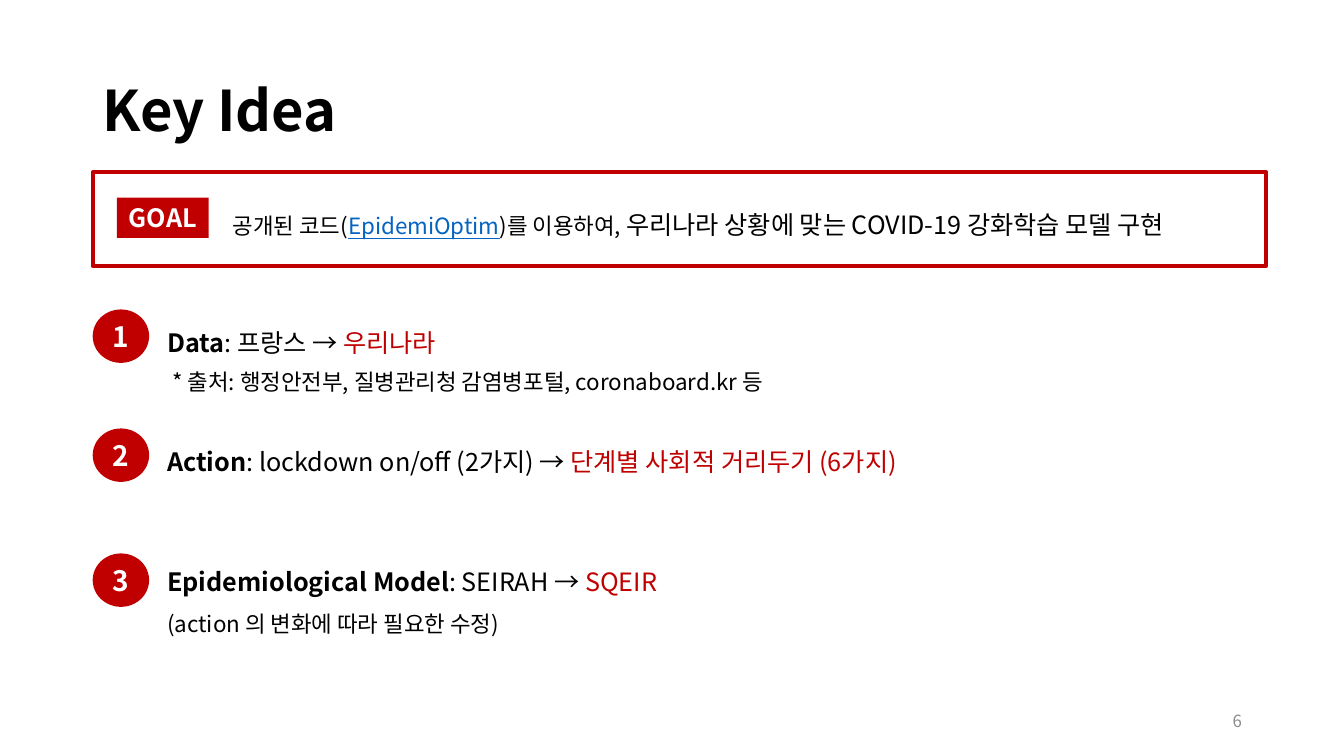
from dataclasses import dataclass

from lxml.etree import SubElement
from pptx import Presentation
from pptx.dml.color import RGBColor
from pptx.enum.shapes import MSO_SHAPE
from pptx.enum.text import MSO_ANCHOR, MSO_AUTO_SIZE, PP_ALIGN
from pptx.oxml.ns import qn
from pptx.shapes.autoshape import Shape
from pptx.slide import Slide
from pptx.text.text import Font
from pptx.util import Inches, Pt

TYPEFACE = "Noto Sans CJK KR"
COLORS = {
    "ink": "000000",
    "accent": "C00000",
    "paper": "FFFFFF",
    "reference": "0563C1",
    "muted": "8C8C8C",
}
SLIDE_WIDTH, SLIDE_HEIGHT = Inches(13.33), Inches(7.5)
MARGIN = 6.9
BADGE_WIDTH, BADGE_HEIGHT = 4.2, 7.07
IDEA_LEFT, BODY_WIDTH = 11.7, 76.58


@dataclass(frozen=True)
class Area:
    """Percentages of the slide's width and height."""
    left: float
    top: float
    width: float
    height: float

    def lengths(self) -> tuple[int, int, int, int]:
        return (
            int(SLIDE_WIDTH * self.left / 100),
            int(SLIDE_HEIGHT * self.top / 100),
            int(SLIDE_WIDTH * self.width / 100),
            int(SLIDE_HEIGHT * self.height / 100),
        )


@dataclass(frozen=True)
class Span:
    text: str
    color: str | None = None
    bold: bool | None = None
    underline: bool | None = None
    size: float | None = None


@dataclass(frozen=True)
class Line:
    spans: tuple[Span, ...]
    size: float
    color: str = "ink"
    bold: bool = False
    spacing: float = 1.0
    align: PP_ALIGN = PP_ALIGN.LEFT


@dataclass(frozen=True)
class Idea:
    badge_top: float
    text_top: float
    text_height: float
    topic: str
    before: str
    after: str
    remark: str = ""

    def lines(self) -> list[Line]:
        spans = (
            Span(self.topic, bold=True),
            Span(self.before),
            Span(self.after, color="accent"),
        )
        lines = [Line(spans, 18, spacing=1.5)]
        if self.remark:
            lines.append(Line((Span(self.remark),), 16, spacing=1.5))
        return lines


IDEAS = (
    Idea(40.93, 40.93, 6.67, "Data", ": 프랑스 → ", "우리나라"),
    Idea(56.67, 56.27, 7.47, "Action", ": lockdown on/off (2가지) → ",
         "단계별 사회적 거리두기 (6가지)"),
    Idea(73.2, 72.53, 12.13, "Epidemiological Model", ": SEIRAH → ", "SQEIR",
         "(action 의 변화에 따라 필요한 수정)"),
)


def rgb(color: str) -> RGBColor:
    return RGBColor.from_string(COLORS[color])


def style_span(font: Font, span: Span) -> None:
    if span.color:
        font.color.rgb = rgb(span.color)
    if span.size:
        font.size = Pt(span.size)
    font.bold = span.bold
    font.underline = span.underline


def write(holder: Shape, lines: list[Line], anchor: MSO_ANCHOR, grow: bool = False) -> None:
    frame = holder.text_frame
    frame.word_wrap = True
    frame.vertical_anchor = anchor
    frame.auto_size = MSO_AUTO_SIZE.SHAPE_TO_FIT_TEXT if grow else MSO_AUTO_SIZE.NONE
    for index, line in enumerate(lines):
        paragraph = frame.add_paragraph() if index else frame.paragraphs[0]
        paragraph.alignment = line.align
        paragraph.line_spacing = line.spacing
        font = paragraph.font
        font.size = Pt(line.size)
        font.bold = line.bold
        font.color.rgb = rgb(line.color)
        font.name = TYPEFACE
        defaults = paragraph._p.pPr.find(qn("a:defRPr"))
        SubElement(defaults, qn("a:ea")).set("typeface", TYPEFACE)
        for span in line.spans:
            run = paragraph.add_run()
            run.text = span.text
            style_span(run.font, span)


def add_text(slide: Slide, area: Area, lines: list[Line],
             anchor: MSO_ANCHOR = MSO_ANCHOR.MIDDLE, grow: bool = True) -> None:
    write(slide.shapes.add_textbox(*area.lengths()), lines, anchor, grow)


def add_label(slide: Slide, preset: MSO_SHAPE, area: Area, text: str, size: float,
              anchor: MSO_ANCHOR = MSO_ANCHOR.MIDDLE) -> None:
    label = slide.shapes.add_shape(preset, *area.lengths())
    label.shadow.inherit = False
    label.fill.solid()
    label.fill.fore_color.rgb = rgb("accent")
    label.line.fill.background()
    caption = Line((Span(text),), size, "paper", True, align=PP_ALIGN.CENTER)
    write(label, [caption], anchor)


def add_goal(slide: Slide) -> None:
    goal = (
        Span("공개된 코드("),
        Span("EpidemiOptim", color="reference", underline=True),
        Span(")를 이용하여, "),
        Span("우리나라 상황에 맞는 COVID-19 강화학습 모델 구현", size=18),
    )
    add_text(slide, Area(16.58, 25.07, BODY_WIDTH, 7.47),
             [Line(goal, 16, spacing=1.5)], MSO_ANCHOR.TOP)
    add_label(slide, MSO_SHAPE.RECTANGLE, Area(8.7, 26.13, 6.83, 5.33),
              "GOAL", 18, MSO_ANCHOR.TOP)
    border = slide.shapes.add_shape(
        MSO_SHAPE.RECTANGLE, *Area(MARGIN, 22.8, 87.3, 12.4).lengths())
    border.shadow.inherit = False
    border.fill.background()
    border.line.color.rgb = rgb("accent")
    border.line.width = Pt(3)


def main() -> None:
    deck = Presentation()
    deck.slide_width, deck.slide_height = SLIDE_WIDTH, SLIDE_HEIGHT
    slide = deck.slides.add_slide(deck.slide_layouts[6])

    add_text(slide, Area(MARGIN, 5.33, 86.25, 19.33),
             [Line((Span("Key Idea"),), 40, bold=True, spacing=0.9)], grow=False)
    add_text(slide, Area(70.65, 92.67, 22.5, 5.33),
             [Line((Span("6"),), 12, "muted", align=PP_ALIGN.RIGHT)], grow=False)
    add_goal(slide)
    for number, idea in enumerate(IDEAS, start=1):
        add_label(slide, MSO_SHAPE.OVAL,
                  Area(MARGIN, idea.badge_top, BADGE_WIDTH, BADGE_HEIGHT), str(number), 20)
        add_text(slide, Area(IDEA_LEFT, idea.text_top, BODY_WIDTH, idea.text_height),
                 idea.lines())
    sources = Span("* 출처: 행정안전부, 질병관리청 감염병포털, coronaboard.kr 등")
    add_text(slide, Area(12.08, 48, 58.58, 4.93), [Line((sources,), 16)], MSO_ANCHOR.TOP)

    deck.save("out.pptx")


if __name__ == "__main__":
    main()
